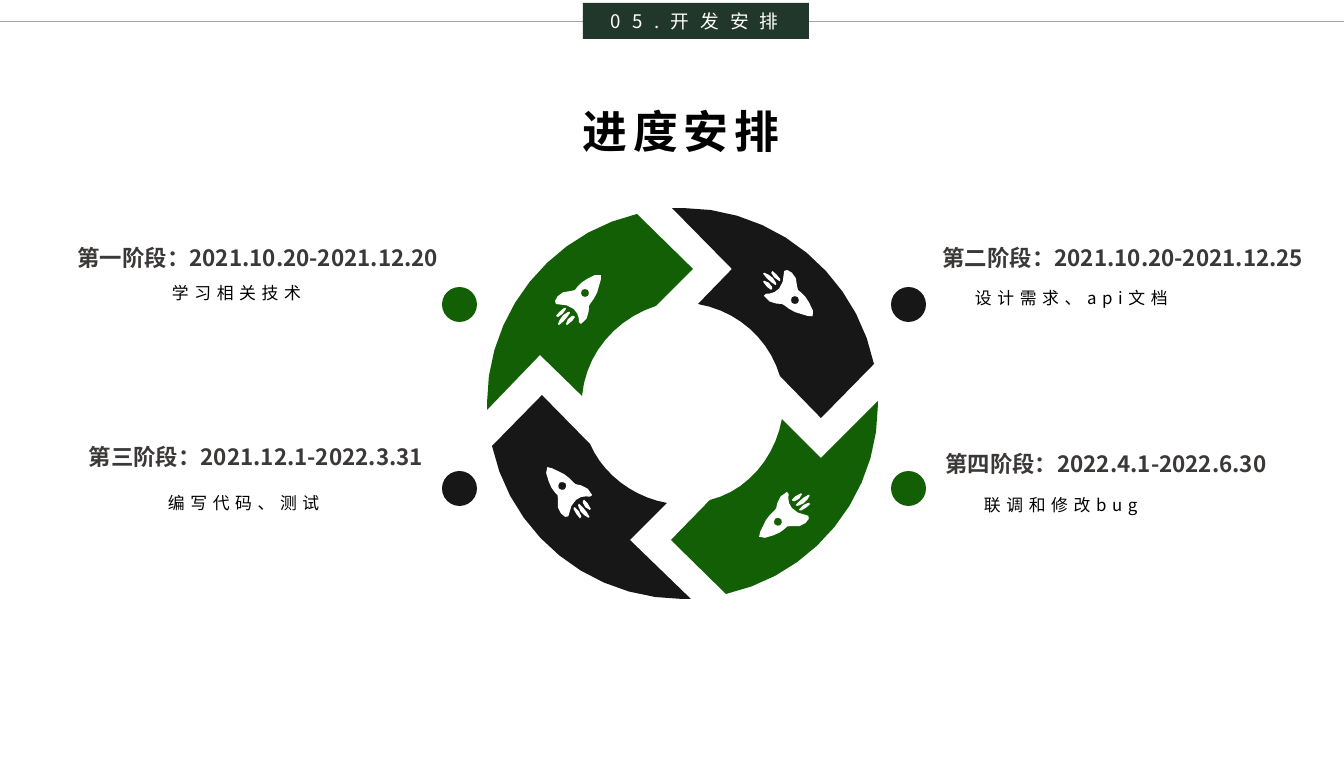
"""Build the schedule slide: a four-arrow cycle with a dated label for each stage."""
import math

import pptx
import pptx.dml.color
import pptx.enum.shapes
import pptx.enum.text
import pptx.oxml.ns
import pptx.util
from lxml import etree

PX = 914400 / 134.4
THEME = {
    "font": "Noto Sans CJK SC",
    "green": "125F05", "dark": "181717", "banner": "22372B", "rule": "A6A6A6",
    "white": "FFFFFF", "black": "000000", "heading": "3B3838",
    "title_size": 24, "heading_size": 12, "banner_size": 10, "detail_size": 9,
}
RGB = pptx.dml.color.RGBColor.from_string
SHAPES = pptx.enum.shapes.MSO_SHAPE
ALIGN = pptx.enum.text.PP_ALIGN

presentation = pptx.Presentation()
presentation.slide_width = round(1344 * PX)
presentation.slide_height = round(767 * PX)
slide = presentation.slides.add_slide(presentation.slide_layouts[6])


def draw_outline(contours, left, top, color):
    """Fill contours whose steps are points (two numbers) or cubic curves (six)."""
    builder = None
    for contour in contours:
        points = []
        for step in contour:
            if len(step) == 2:
                points.append(step)
                continue
            x0, y0 = points[-1]
            x1, y1, x2, y2, x3, y3 = step
            pieces = max(1, min(10, round(math.dist((x0, y0), (x3, y3)) / 6)))
            for index in range(1, pieces + 1):
                t = index / pieces
                u = 1 - t
                a, b, c, d = u ** 3, 3 * u * u * t, 3 * u * t * t, t ** 3
                points.append((a * x0 + b * x1 + c * x2 + d * x3,
                               a * y0 + b * y1 + c * y2 + d * y3))
        points = [(round((left + x) * PX), round((top + y) * PX)) for x, y in points]
        if builder is None:
            builder = slide.shapes.build_freeform(*points[0], scale=1.0)
        else:
            builder.move_to(*points[0])
        builder.add_line_segments(points[1:], close=True)
    shape = builder.convert_to_shape()
    shape.shadow.inherit = False
    shape.fill.solid()
    shape.fill.fore_color.rgb = RGB(THEME[color])
    shape.line.fill.background()
    return shape


def write_text(shape, text, style, color, bold=False, tracking=0, insets=(13, 7),
               align=ALIGN.LEFT, spacing=1.0):
    """Put one styled line of text in a shape."""
    frame = shape.text_frame
    across, down = (round(inset * PX) for inset in insets)
    frame_format = {
        "word_wrap": True, "vertical_anchor": pptx.enum.text.MSO_ANCHOR.MIDDLE,
        "margin_left": across, "margin_right": min(across, round(13 * PX)),
        "margin_top": down, "margin_bottom": down,
    }
    for name, value in frame_format.items():
        setattr(frame, name, value)
    paragraph = frame.paragraphs[0]
    paragraph.alignment = align
    paragraph.line_spacing = spacing
    run = paragraph.add_run()
    run.text = text
    font_format = {"name": THEME["font"], "size": pptx.util.Pt(THEME[style]), "bold": bold}
    for name, value in font_format.items():
        setattr(run.font, name, value)
    run.font.color.rgb = RGB(THEME[color])
    properties = run._r.get_or_add_rPr()
    properties.set("spc", str(tracking * 100))
    latin = properties.find(pptx.oxml.ns.qn("a:latin"))
    east_asian = etree.Element(pptx.oxml.ns.qn("a:ea"))
    east_asian.set("typeface", THEME["font"])
    latin.addnext(east_asian)


for left, top, color in [(442, 287, "green"), (442, 471, "dark"),
                         (891, 287, "dark"), (891, 471, "green")]:
    dot = slide.shapes.add_shape(SHAPES.OVAL, *(round(n * PX) for n in (left, top, 35, 35)))
    dot.shadow.inherit = False
    dot.fill.solid()
    dot.fill.fore_color.rgb = RGB(THEME[color])
    dot.line.fill.background()

cycle_arrows = [
    ("green", [(693, 269), (656, 306), (616, 319, 586, 353, 582, 396), (540, 355),
               (487, 410), (487, 403), (487, 312, 551, 234, 637, 214)]),
    ("dark", [(874, 364), (821, 418), (780, 376), (769, 339, 738, 311, 698, 304),
              (732, 269), (672, 208), (683, 208), (777, 208, 856, 276, 874, 364)]),
    ("dark", [(691, 599), (683, 599), (589, 599, 511, 534, 492, 446), (542, 395),
              (590, 444), (603, 474, 633, 497, 667, 503), (630, 540)]),
    ("green", [(878, 405), (878, 497, 813, 575, 726, 594), (671, 540), (710, 500),
               (747, 491, 775, 458, 782, 419), (821, 458), (878, 401)]),
]
for color, contour in cycle_arrows:
    draw_outline([contour], 0, 0, color)

rocket = [
    [(19, 42), (20, 43), (19, 44, 16, 50, 12, 51),
     (11, 50), (12, 47, 13, 43, 17, 42)],
    [(15, 38), (15, 39), (13, 42, 9, 48, 4, 51),
     (3, 50), (4, 47, 7, 40, 13, 38)],
    [(11, 34), (11, 35), (9, 38, 7, 42, 3, 43),
     (1, 42), (3, 40, 5, 36, 9, 34)],
    [(30, 15), (27, 16), (26, 19), (27, 22), (30, 23), (33, 22), (34, 19), (33, 16)],
    [(44, 1), (46, 1), (46, 4, 46, 8, 44, 12), (43, 19, 39, 25, 35, 30),
     (34, 32), (34, 36, 34, 46, 26, 50), (24, 48),
     (24, 43, 23, 30, 1, 30), (0, 27), (1, 23, 7, 16, 16, 17),
     (20, 16), (22, 13, 26, 8, 32, 5), (36, 3, 39, 3, 40, 1)],
]
for center_x, center_y, rotation in [(578, 300, 0), (788, 293, 90.6),
                                     (786, 516, 189.7), (568, 494, 279.6)]:
    draw_outline(rocket, center_x - 23, center_y - 26, "white").rotation = rotation

stages = [
    ("第一阶段：2021.10.20-2021.12.20", (65, 239, 386, 31), "学习相关技术", (159, 276, 289, 34)),
    ("第二阶段：2021.10.20-2021.12.25", (930, 239, 386, 31), "设计需求、api文档", (962, 281, 289, 34)),
    ("第三阶段：2021.12.1-2022.3.31", (72, 438, 368, 32), "编写代码、测试", (155, 486, 187, 34)),
    ("第四阶段：2022.4.1-2022.6.30", (930, 445, 352, 32), "联调和修改bug", (971, 488, 289, 34)),
]
for heading, heading_box, detail, detail_box in stages:
    shape = slide.shapes.add_textbox(*(round(n * PX) for n in detail_box))
    write_text(shape, detail, "detail_size", "black", tracking=3)
    shape = slide.shapes.add_textbox(*(round(n * PX) for n in heading_box))
    write_text(shape, heading, "heading_size", "heading", bold=True, insets=(0, 0),
               align=ALIGN.CENTER, spacing=1.2)

for start, end in [(0, 598), (766, 1344)]:
    rule = slide.shapes.add_connector(
        pptx.enum.shapes.MSO_CONNECTOR.STRAIGHT,
        *(round(n * PX) for n in (start, 22, end, 22)))
    rule.line.color.rgb = RGB(THEME["rule"])
    rule.line.width = pptx.util.Pt(0.5)
    etree.SubElement(rule._element.spPr, pptx.oxml.ns.qn("a:effectLst"))

banner = slide.shapes.add_shape(SHAPES.RECTANGLE, *(round(n * PX) for n in (583, 3, 226, 36)))
banner.shadow.inherit = False
banner.fill.solid()
banner.fill.fore_color.rgb = RGB(THEME["banner"])
banner.line.fill.background()
write_text(banner, "05.开发安排", "banner_size", "white", tracking=6, insets=(28, 7))

title = slide.shapes.add_textbox(*(round(n * PX) for n in (570, 97, 241, 67)))
write_text(title, "进度安排", "title_size", "black", bold=True, tracking=3)

presentation.save("out.pptx")
